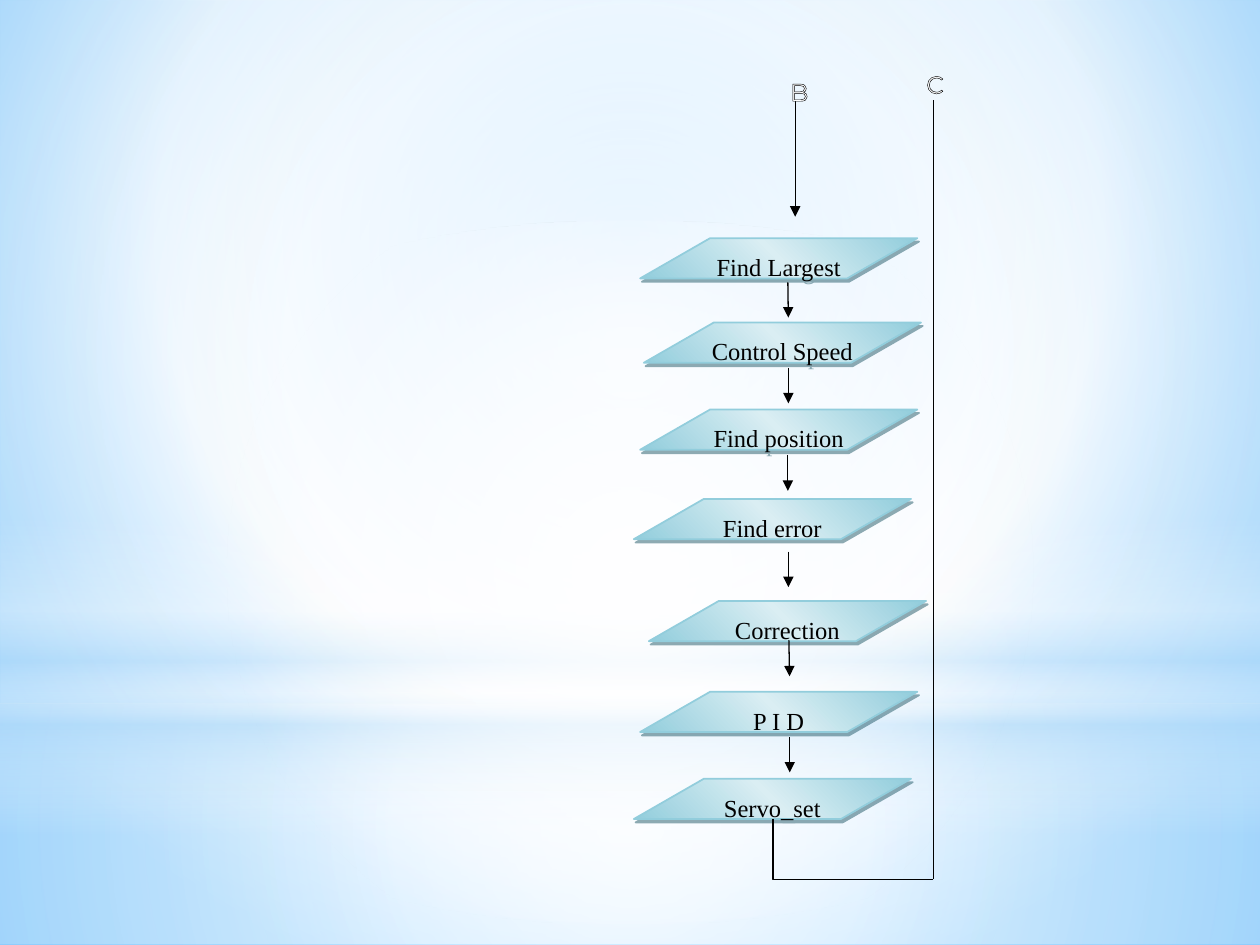
import pptx
import pptx.dml.color
import pptx.enum.shapes
import pptx.enum.text
import pptx.oxml
import pptx.oxml.ns
import pptx.util

Pt = pptx.util.Pt
MSO = pptx.enum.shapes.MSO_SHAPE
CONN = pptx.enum.shapes.MSO_CONNECTOR
qn = pptx.oxml.ns.qn
NS = pptx.oxml.ns.nsdecls("a")


def rgb(code):
    return pptx.dml.color.RGBColor.from_string(code)


def set_gradient(fill, element, stops, direction):
    fill.gradient()
    old = element.find(".//" + qn("a:gradFill"))
    gs = "".join(
        f'<a:gs pos="{pos * 1000}"><a:srgbClr val="{rgb(code)}">'
        f'<a:alpha val="{alpha * 1000}"/></a:srgbClr></a:gs>'
        for pos, code, alpha in stops)
    if isinstance(direction, tuple):
        l, t, r, b = (v * 1000 for v in direction)
        way = f'<a:path path="circle"><a:fillToRect l="{l}" t="{t}" r="{r}" b="{b}"/></a:path>'
    else:
        way = f'<a:lin ang="{direction * 60000}" scaled="0"/>'
    new = pptx.oxml.parse_xml(
        f'<a:gradFill {NS} rotWithShape="1"><a:gsLst>{gs}</a:gsLst>{way}</a:gradFill>')
    old.getparent().replace(old, new)


prs = pptx.Presentation()
prs.slide_width, prs.slide_height = Pt(720), Pt(540)
s = prs.slides.add_slide(prs.slide_layouts[6])
set_gradient(s.background.fill, s._element,
             [(0, "9ED5FF", 100), (60, "FFFFFF", 100), (100, "5BB9FF", 100)],
             (20, 10, 20, 60))

center = (50, 50, 50, 50)
backdrop = [
    (MSO.RECTANGLE, 402, 138, center,
     [(0, "FFFFFF", 91), (37, "FFFFFF", 76), (100, "B4DCFA", 79)]),
    (MSO.RECTANGLE, 0, 402, center,
     [(0, "FFFFFF", 89), (48, "FFFFFF", 62), (100, "B4DCFA", 79)]),
    (MSO.RECTANGLE, 296.6, 180, 90,
     [(0, "FFFFFF", 0), (29, "FFFFFF", 30), (45, "B4DCFA", 40),
      (55, "FFFFFF", 26), (65, "B4DCFA", 60), (100, "FFFFFF", 0)]),
    (MSO.OVAL, 126, 402, center, [(0, "FFFFFF", 100), (56, "FFFFFF", 0)]),
]
for kind, top, height, direction, stops in backdrop:
    sp = s.shapes.add_shape(kind, 0, Pt(top), Pt(720), Pt(height))
    sp.shadow.inherit = False
    sp.line.fill.background()
    set_gradient(sp.fill, sp._element, stops, direction)

steps = [
    ("Find Largest", 365.8, 136.1),
    ("Control Speed", 367.9, 184.3),
    ("Find position", 365.8, 234),
    ("Find error", 362.2, 285.1),
    ("Correction", 370.8, 343.4),
    ("P I D", 365.8, 395.3),
    ("Servo_set", 362.2, 445),
]
step_font = {"size": Pt(14), "name": "Times New Roman"}
for text, left, top in steps:
    sp = s.shapes.add_shape(MSO.PARALLELOGRAM, Pt(left), Pt(top), Pt(158.4), Pt(23))
    sp.adjustments[0] = 1.74
    set_gradient(sp.fill, sp._element,
                 [(0, "92CDDC", 100), (50, "DAEEF3", 100), (100, "92CDDC", 100)], 315)
    sp.line.color.rgb = rgb("92CDDC")
    sp.line.width = Pt(1)
    sp.shadow.inherit = False
    sp._element.spPr.find(qn("a:effectLst")).append(pptx.oxml.parse_xml(
        f'<a:outerShdw {NS} blurRad="0" dist="{Pt(2.2)}" dir="{63 * 60000}" algn="ctr" '
        f'rotWithShape="0"><a:srgbClr val="{rgb("205867")}"><a:alpha val="50000"/>'
        '</a:srgbClr></a:outerShdw>'))
    tf = sp.text_frame
    tf.word_wrap = True
    tf.vertical_anchor = pptx.enum.text.MSO_ANCHOR.TOP
    p = tf.paragraphs[0]
    p.alignment = pptx.enum.text.PP_ALIGN.CENTER
    r = p.add_run()
    r.text = text
    for key, value in step_font.items():
        setattr(r.font, key, value)
    r.font.color.rgb = rgb("000000")

lines = [
    (CONN.STRAIGHT, 454.4, 57, 454.4, 123.8, True),
    (CONN.STRAIGHT, 450.2, 161.3, 450.5, 181.5, True),
    (CONN.STRAIGHT, 450.5, 210.2, 450.5, 230.5, True),
    (CONN.STRAIGHT, 450.2, 260, 450.2, 280.5, True),
    (CONN.STRAIGHT, 450.5, 315.2, 450.5, 335.5, True),
    (CONN.STRAIGHT, 450.8, 366, 451.2, 386.5, True),
    (CONN.STRAIGHT, 451.3, 421.2, 451.3, 441.4, True),
    (CONN.STRAIGHT, 533.4, 502.4, 533.4, 56.9, False),
    (CONN.ELBOW, 504.8, 439.4, 470.2, 531, False),
]
for kind, x1, y1, x2, y2, arrow in lines:
    c = s.shapes.add_connector(kind, Pt(x1), Pt(y1), Pt(x2), Pt(y2))
    c.line.color.rgb = rgb("000000")
    c.line.width = Pt(0.75)
    spPr = c._element.spPr
    if arrow:
        spPr.find(qn("a:ln")).append(
            pptx.oxml.parse_xml(f'<a:tailEnd {NS} type="triangle"/>'))
    if kind == CONN.ELBOW:
        spPr.find(qn("a:prstGeom")).set("prst", "bentConnector2")
        spPr.find(qn("a:xfrm")).set("rot", str(270 * 60000))
    spPr.append(pptx.oxml.parse_xml(f"<a:effectLst {NS}/>"))

label_font = {"size": Pt(14), "name": "Montserrat"}
for text, left, top in [("B", 451.4, 40.3), ("C", 529.2, 36)]:
    sp = s.shapes.add_textbox(Pt(left), Pt(top), Pt(7.2), Pt(13))
    tf = sp.text_frame
    tf.word_wrap = False
    p = tf.paragraphs[0]
    p.alignment = pptx.enum.text.PP_ALIGN.CENTER
    r = p.add_run()
    r.text = text
    for key, value in label_font.items():
        setattr(r.font, key, value)
    r.font.color.rgb = rgb("FFFFFF")
    r.font._element.insert(0, pptx.oxml.parse_xml(
        f'<a:ln {NS} w="{Pt(0.75)}"><a:solidFill><a:srgbClr val="{rgb("000000")}"/>'
        '</a:solidFill></a:ln>'))

prs.save("out.pptx")
